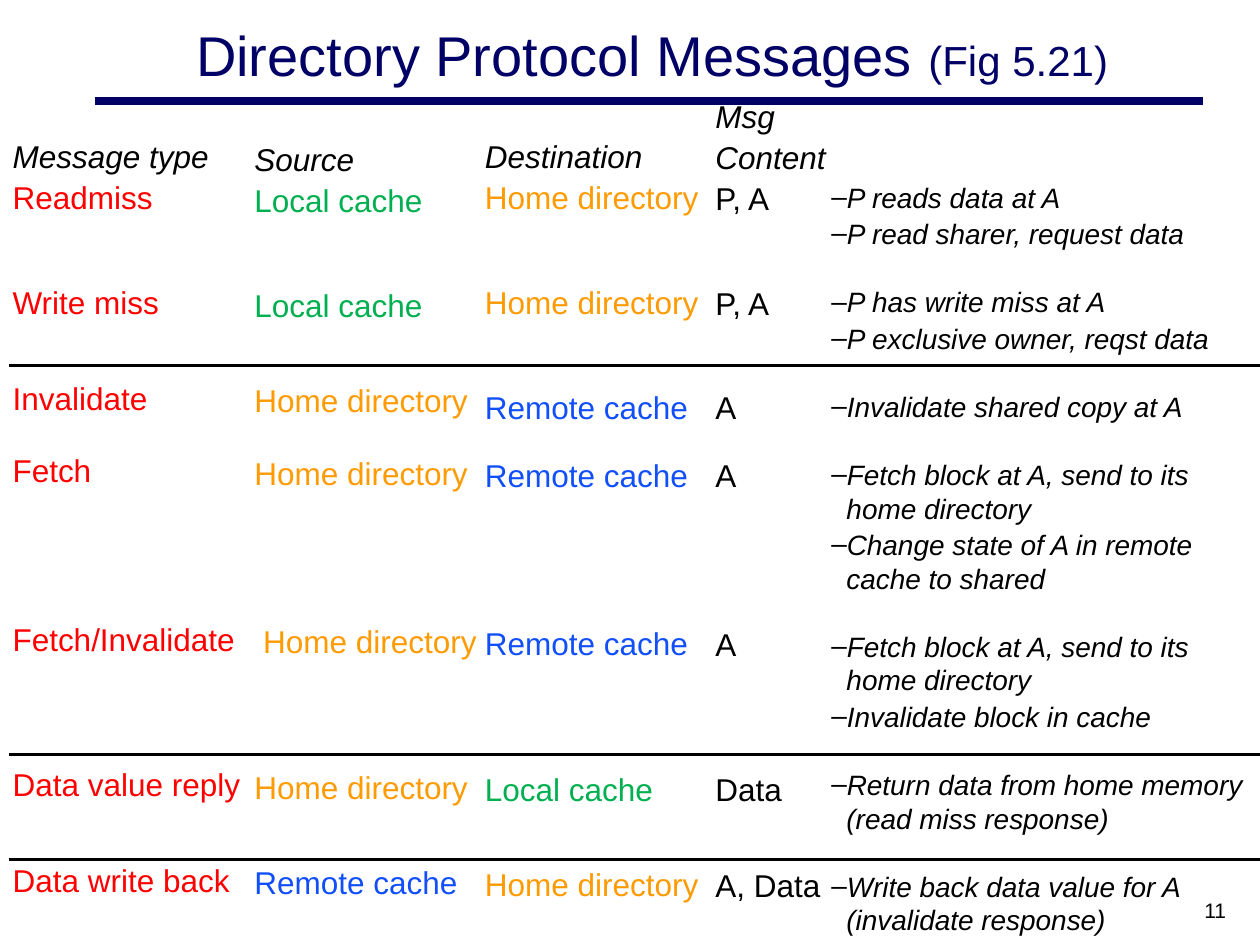
from dataclasses import dataclass

from lxml import etree
from pptx import Presentation
from pptx.dml.color import RGBColor
from pptx.enum.shapes import MSO_CONNECTOR
from pptx.enum.text import MSO_ANCHOR, MSO_AUTO_SIZE, PP_ALIGN
from pptx.oxml.ns import qn
from pptx.util import Inches, Pt

STRAIGHT = MSO_CONNECTOR.STRAIGHT
MIDDLE = MSO_ANCHOR.MIDDLE
NO_FIT = MSO_AUTO_SIZE.NONE
CENTER, LEFT, RIGHT = PP_ALIGN.CENTER, PP_ALIGN.LEFT, PP_ALIGN.RIGHT


@dataclass(frozen=True)
class Theme:
    font: str = "Arial"
    navy: str = "000066"
    black: str = "000000"
    red: str = "FF0000"
    green: str = "00B050"
    orange: str = "FE9B03"
    blue: str = "114FFB"
    title_size: int = 32
    figure_size: int = 24
    cell_size: int = 18
    note_size: int = 16
    number_size: int = 12


THEME = Theme()
NODE_COLORS = {
    "Local cache": THEME.green,
    "Home directory": THEME.orange,
    "Remote cache": THEME.blue,
}
# Space before a paragraph, and the height of a skipped line, per point of type
SPACE_RATIO, SKIP_RATIO = 0.1, 1.3
HEADER_LINE = 0.32
HANGING = 0.25


@dataclass(frozen=True)
class Column:
    left: float
    top: float
    width: float
    headers: tuple[str, ...]
    cells: tuple[str, ...]
    skips: tuple[int, ...]  # points of type skipped above each cell
    color: str = THEME.black  # for cells that name no node
    shifted_row: int = -1  # row set slightly to the right


LEFT_SKIPS = (0, 28, 24, 14, 56, 46, 24)
RIGHT_SKIPS = (0, 28, 28, 12, 56, 46, 24)
HOME, LOCAL, REMOTE = "Home directory", "Local cache", "Remote cache"
COLUMNS = (
    Column(0, 0.72, 3.51, ("Message type",),
           ("Readmiss", "Write miss", "Invalidate", "Fetch",
            "Fetch/Invalidate", "Data value reply", "Data write back"),
           LEFT_SKIPS, THEME.red),
    Column(1.92, 0.74, 2.25, ("Source",),
           (LOCAL, LOCAL, HOME, HOME, HOME, HOME, REMOTE),
           LEFT_SKIPS, shifted_row=4),
    Column(3.75, 0.72, 2.08, ("Destination",),
           (HOME, HOME, REMOTE, REMOTE, REMOTE, LOCAL, HOME), RIGHT_SKIPS),
    Column(5.58, 0.72, 1.5, ("Msg", "Content"),
           ("P, A", "P, A", "A", "A", "A", "Data", "A, Data"), RIGHT_SKIPS),
)
NOTE_SKIP = 14
NOTES = (
    ("P reads data at A", "P read sharer, request data"),
    ("P has write miss at A", "P exclusive owner, reqst data"),
    ("Invalidate shared copy at A",),
    ("Fetch block at A, send to its home directory",
     "Change state of A in remote cache to shared"),
    ("Fetch block at A, send to its home directory",
     "Invalidate block in cache"),
    ("Return data from home memory (read miss response)",),
    ("Write back data value for A (invalidate response)",),
)


def place(box, left: float, top: float, width: float, height: float) -> None:
    box.left, box.top = Inches(left), Inches(top)
    box.width, box.height = Inches(width), Inches(height)
    box.text_frame.word_wrap = True
    box.text_frame.auto_size = NO_FIT


def add_box(page, left: float, top: float, width: float, height: float):
    box = page.shapes.add_textbox(0, 0, 0, 0)
    place(box, left, top, width, height)
    return box


def style(para, size: int, color: str, italic: bool = False) -> None:
    para.font.name = THEME.font
    para.font.size = Pt(size)
    para.font.italic = italic
    para.font.color.rgb = RGBColor.from_string(color)


def add_line(page, left: float, right: float, y: float, color: str, weight: float) -> None:
    line = page.shapes.add_connector(
        STRAIGHT, Inches(left), Inches(y), Inches(right), Inches(y))
    line.line.color.rgb = RGBColor.from_string(color)
    line.line.width = Pt(weight)
    etree.SubElement(line._element.spPr, qn("a:effectLst"))


def add_para(frame, text: str, size: int, color: str, italic: bool,
             skip: int = 0, margin: float = HANGING, bullet: str = "") -> None:
    """Write the next paragraph, using the empty first one if it is free."""
    first = not frame.text
    para = frame.paragraphs[0] if first else frame.add_paragraph()
    para.text = text
    para.alignment = LEFT
    para.space_before = Pt(0 if first else round(SPACE_RATIO * size + SKIP_RATIO * skip, 1))
    props = para._p.get_or_add_pPr()
    props.set("marL", str(Inches(margin)))
    props.set("indent", str(-Inches(HANGING)))
    if bullet:
        etree.SubElement(props, qn("a:buFont"), typeface=THEME.font)
        etree.SubElement(props, qn("a:buChar"), char=bullet)
    else:
        etree.SubElement(props, qn("a:buNone"))
    style(para, size, color, italic)


def fill_column(box, column: Column) -> None:
    place(box, column.left, column.top, column.width, 6.69)
    frame = box.text_frame
    # Short headers start on the second header line
    frame.margin_top = Inches(0.05 + HEADER_LINE * (2 - len(column.headers)))
    for header in column.headers:
        add_para(frame, header, THEME.cell_size, THEME.black, True)
    for row, (cell, skip) in enumerate(zip(column.cells, column.skips)):
        margin = HANGING + (0.07 if row == column.shifted_row else 0)
        add_para(frame, cell, THEME.cell_size, NODE_COLORS.get(cell, column.color),
                 False, skip, margin)


def add_notes_column(page) -> None:
    frame = add_box(page, 6.5, 1.38, 3.5, 6.12).text_frame
    for group in NOTES:
        for index, note in enumerate(group):
            add_para(frame, note, THEME.note_size, THEME.black, True,
                     0 if index else NOTE_SKIP, 0.12, "–")


def add_title(page) -> None:
    title = page.shapes.title
    place(title, 0.94, 0.22, 8.47, 0.42)
    title.text_frame.vertical_anchor = MIDDLE
    para = title.text_frame.paragraphs[0]
    para.alignment = CENTER
    style(para, THEME.title_size, THEME.navy)
    para.add_run().text = "Directory Protocol Messages "
    figure = para.add_run()
    figure.text = "(Fig 5.21)"
    figure.font.size = Pt(THEME.figure_size)


def main() -> None:
    deck = Presentation()
    deck.slide_width, deck.slide_height = Inches(10), Inches(7.5)
    page = deck.slides.add_slide(deck.slide_layouts[1])

    # Title and its rule
    add_line(page, 0.75, 9.55, 0.8, THEME.navy, 4.5)
    add_title(page)

    # Message columns; the first one is the body placeholder
    fill_column(page.placeholders[1], COLUMNS[0])
    for column in COLUMNS[1:]:
        fill_column(page.shapes.add_textbox(0, 0, 0, 0), column)
    add_notes_column(page)

    # Lines between message groups
    for y in (2.9, 5.99, 6.82):
        add_line(page, 0.07, 10, y, THEME.black, 2)

    # Page number
    number = add_box(page, 7.5, 7.07, 2.33, 0.25).text_frame.paragraphs[0]
    number.text = "11"
    number.alignment = RIGHT
    style(number, THEME.number_size, THEME.black)

    deck.save("out.pptx")


if __name__ == "__main__":
    main()
